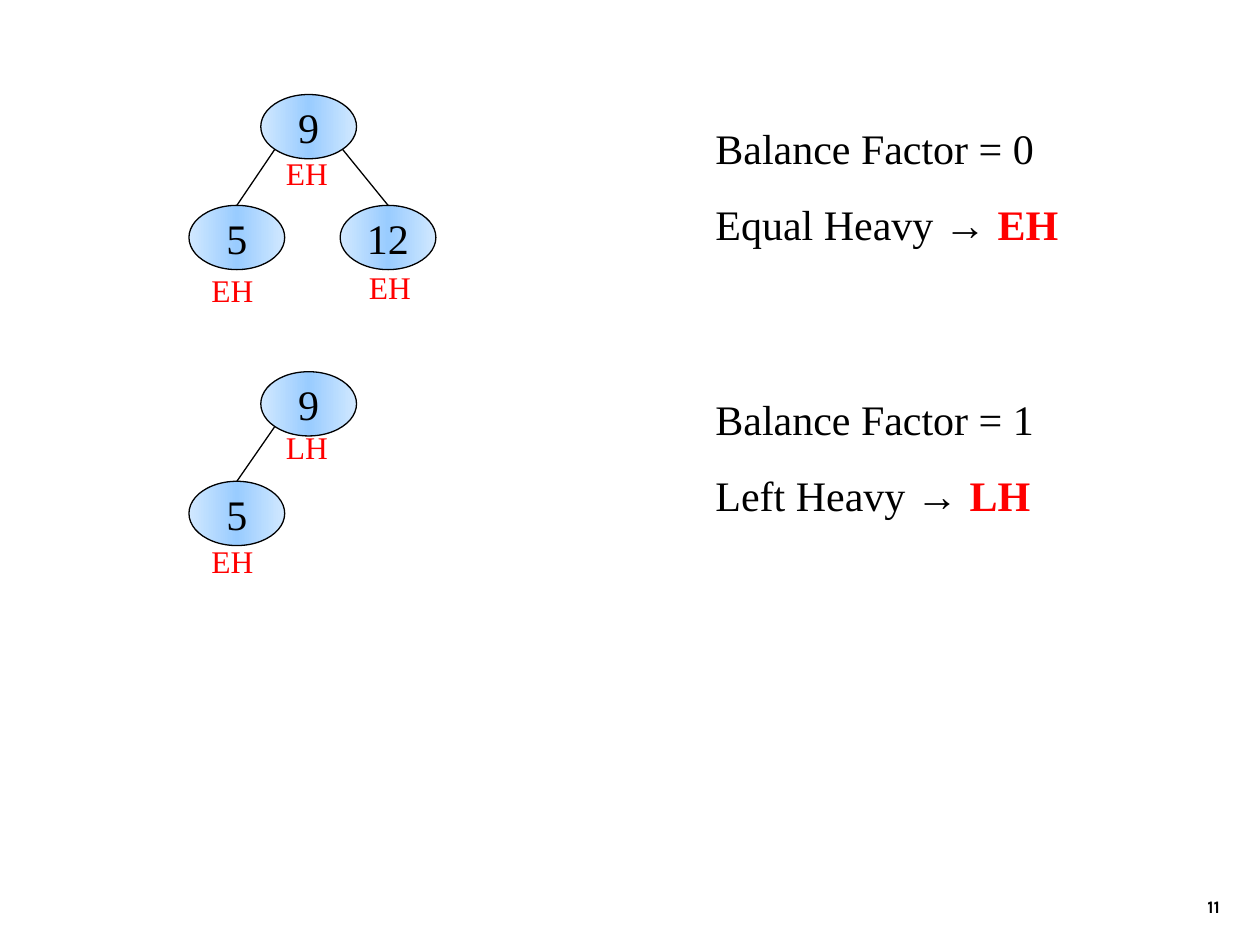
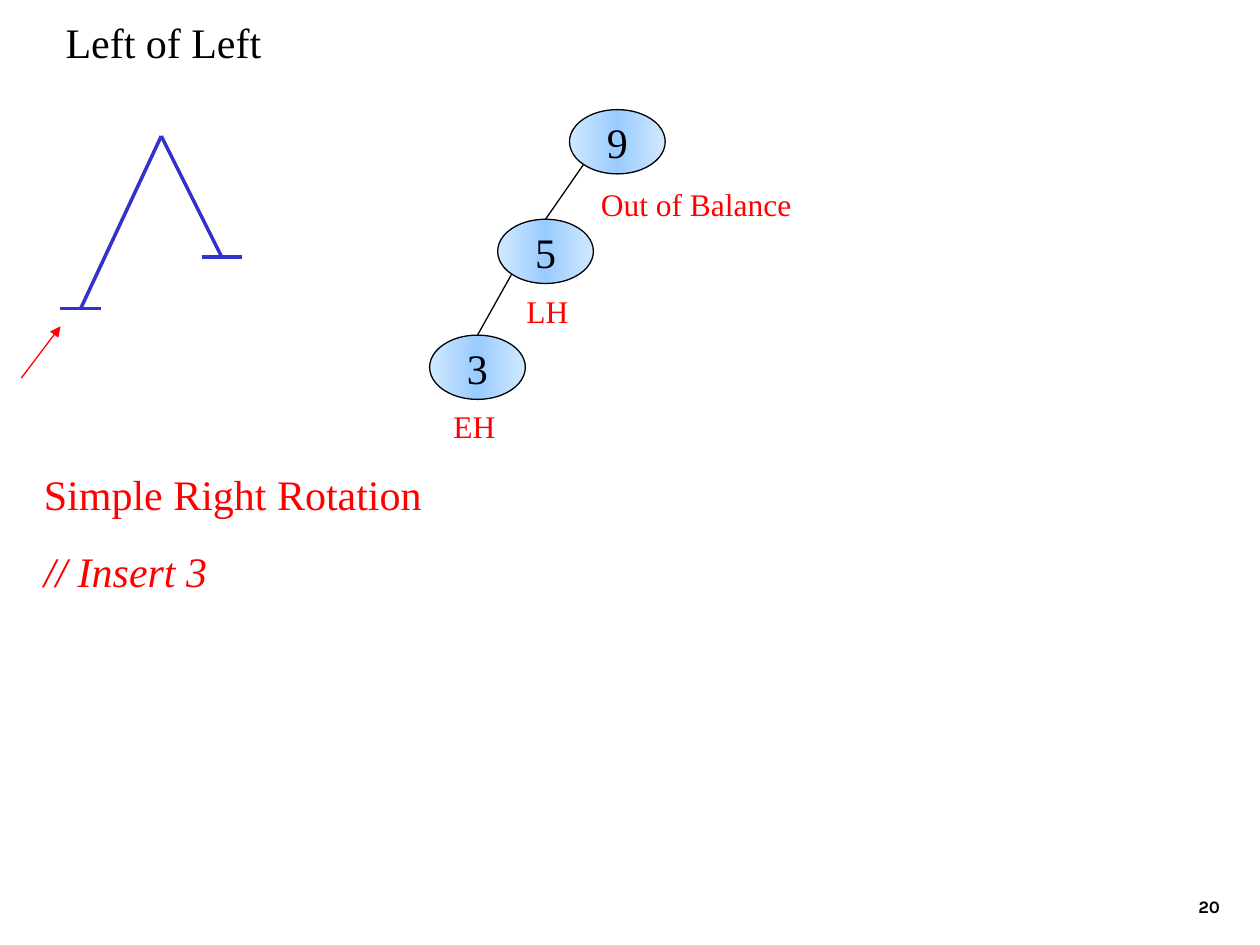
import copy
import math
import pptx
import pptx.dml.color
import pptx.enum.shapes
import pptx.enum.text
import pptx.oxml.ns
import pptx.oxml.xmlchemy
import pptx.util

# Shared style
BLACK, RED, BLUE = "000000", "FF0000", "3333CC"
NODE_EDGE, NODE_MIDDLE = "D1E8FF", "99CCFF"
SERIF, ARROW_FONT, NUMBER_FONT = "Times New Roman", "Arial", "Karla"
SLIDE_W, SLIDE_H = 10, 7.5
NODE_W, NODE_H = 0.76, 0.51
NUMBER_BOX = (7.7, 6.83, 2.08, 0.5)
ANCHOR = pptx.enum.text.MSO_ANCHOR
ALIGN = pptx.enum.text.PP_ALIGN


# A run is (text, font, size, colour, style); style holds "b" or "i"
def run(text, color=BLACK, style="", size=24, font=SERIF):
    return text, font, size, color, style


def balance_note(factor, name, code):
    return [[run(f"Balance Factor = {factor}")],
            [run(name + " "), run("→ ", font=ARROW_FONT), run(code, RED, "b")]]


# Content. Tree node: value, parent, left, top
# Balance label: text, left, top, width
SLIDES = [
    dict(
        number="11",
        trees=[
            [("9", None, 2.07, 0.75), ("5", "9", 1.5, 1.63), ("12", "9", 2.7, 1.63)],
            [("9", None, 2.07, 2.95), ("5", "9", 1.5, 3.82)],
        ],
        labels=[("EH", 1.58, 2.1, 0.58), ("EH", 2.17, 1.17, 0.58),
                ("EH", 2.83, 2.08, 0.58), ("EH", 1.58, 4.25, 0.58),
                ("LH", 2.17, 3.35, 0.58)],
        notes=[((5.58, 0.92, 3.08, 1.11), balance_note(0, "Equal Heavy", "EH")),
               ((5.58, 3.07, 3.08, 1.11), balance_note(1, "Left Heavy", "LH"))],
    ),
    dict(
        number="20",
        title="Left of Left",
        trees=[[("9", None, 4.52, 0.87), ("5", "9", 3.95, 1.74), ("3", "5", 3.41, 2.66)]],
        labels=[("EH", 3.5, 3.18, 0.58), ("LH", 4.08, 2.27, 0.58),
                ("Out of Balance", 4.67, 1.42, 1.75)],
        notes=[((0.25, 3.67, 3.25, 1.11),
                [[run("Simple Right Rotation", RED)], [run("// Insert 3", RED, "i")]])],
        # Sketch of the unbalanced tree: apex, then the foot of each branch
        apex=(1.28, 1.08),
        feet=[(0.64, 2.45), (1.76, 2.04)],
        insertion=((0.17, 3), (0.48, 2.59)),
    ),
]
TITLE_BOX = (0.42, 0.08, 1.92, 0.5)
FOOT_HALF = 0.16


def rgb(color):
    return pptx.dml.color.RGBColor.from_string(color)


def inches(values):
    return [pptx.util.Inches(value) for value in values]


def write(frame, paragraphs, anchor=ANCHOR.TOP, align=ALIGN.LEFT, gap=0, wrap=True):
    frame.word_wrap = wrap
    frame.auto_size = pptx.enum.text.MSO_AUTO_SIZE.NONE
    frame.vertical_anchor = anchor
    frame.margin_left = frame.margin_right = pptx.util.Inches(0.1)
    frame.margin_top = frame.margin_bottom = pptx.util.Inches(0.05)
    for index, runs in enumerate(paragraphs):
        paragraph = frame.add_paragraph() if index else frame.paragraphs[0]
        paragraph.alignment = align
        paragraph.space_before = pptx.util.Pt(gap)
        for text, font, size, color, style in runs:
            piece = paragraph.add_run()
            piece.text = text
            piece.font.name = font
            piece.font.size = pptx.util.Pt(size)
            piece.font.bold = "b" in style
            piece.font.italic = "i" in style
            piece.font.color.rgb = rgb(color)


def add_text(slide, box, paragraphs, **layout):
    write(slide.shapes.add_textbox(*inches(box)).text_frame, paragraphs, **layout)


def add_line(slide, start, end, color=BLACK, width=0.75, arrow=False):
    line = slide.shapes.add_connector(
        pptx.enum.shapes.MSO_CONNECTOR.STRAIGHT, *inches(start + end))
    line.line.color.rgb = rgb(color)
    line.line.width = pptx.util.Pt(width)
    properties = line._element.spPr
    if arrow:
        head = pptx.oxml.xmlchemy.OxmlElement("a:tailEnd")
        head.set("type", "triangle")
        properties.find(pptx.oxml.ns.qn("a:ln")).append(head)
    properties.append(pptx.oxml.xmlchemy.OxmlElement("a:effectLst"))
    return line


def add_node(slide, value, left, top):
    node = slide.shapes.add_shape(
        pptx.enum.shapes.MSO_SHAPE.OVAL, *inches((left, top, NODE_W, NODE_H)))
    node.shadow.inherit = False
    node.line.color.rgb = rgb(BLACK)
    node.line.width = pptx.util.Pt(0.75)
    # Horizontal gradient, darkest in the middle
    node.fill.gradient()
    node.fill.gradient_angle = 0
    stops = node._element.spPr.find(".//" + pptx.oxml.ns.qn("a:gsLst"))
    stops.append(copy.deepcopy(stops[0]))
    colors = (NODE_EDGE, NODE_MIDDLE, NODE_EDGE)
    for index, (stop, color) in enumerate(zip(node.fill.gradient_stops, colors)):
        stop.position = index / 2
        stop.color.rgb = rgb(color)
    write(node.text_frame, [[run(value)]], ANCHOR.MIDDLE, ALIGN.CENTER, wrap=False)
    return node


def add_tree(slide, tree):
    nodes = {value: add_node(slide, value, left, top) for value, _, left, top in tree}
    places = {value: (left, top) for value, _, left, top in tree}
    # Each edge leaves the parent at 45 degrees and ends on top of the child
    reach = math.sqrt(0.5) / 2
    for value, parent, left, top in tree:
        if parent is None:
            continue
        parent_left, parent_top = places[parent]
        side = -1 if left < parent_left else 1
        start = (parent_left + NODE_W * (0.5 + side * reach),
                 parent_top + NODE_H * (0.5 + reach))
        edge = add_line(slide, start, (left + NODE_W / 2, top))
        edge.end_connect(nodes[value], 0)


def add_sketch(slide, apex, feet, insertion):
    for x, y in feet:
        add_line(slide, apex, (x, y), BLUE, 2)
        add_line(slide, (x - FOOT_HALF, y), (x + FOOT_HALF, y), BLUE, 2)
    add_line(slide, *insertion, color=RED, arrow=True)


def add_title(slide, title):
    heading = slide.shapes.title
    heading.left, heading.top, heading.width, heading.height = inches(TITLE_BOX)
    write(heading.text_frame, [[run(title)]])


def main():
    deck = pptx.Presentation()
    deck.slide_width, deck.slide_height = inches((SLIDE_W, SLIDE_H))
    title_only, blank = deck.slide_layouts[5], deck.slide_layouts[6]
    for content in SLIDES:
        slide = deck.slides.add_slide(title_only if "title" in content else blank)
        add_text(slide, NUMBER_BOX,
                 [[run(content["number"], style="b", size=10, font=NUMBER_FONT)]],
                 anchor=ANCHOR.BOTTOM, align=ALIGN.RIGHT)
        if "title" in content:
            add_title(slide, content["title"])
        if "apex" in content:
            add_sketch(slide, content["apex"], content["feet"], content["insertion"])
        for box, paragraphs in content["notes"]:
            add_text(slide, box, paragraphs, gap=15)
        for tree in content["trees"]:
            add_tree(slide, tree)
        for text, left, top, width in content["labels"]:
            add_text(slide, (left, top, width, 0.4), [[run(text, RED, size=18)]])
    deck.save("out.pptx")


if __name__ == "__main__":
    main()
